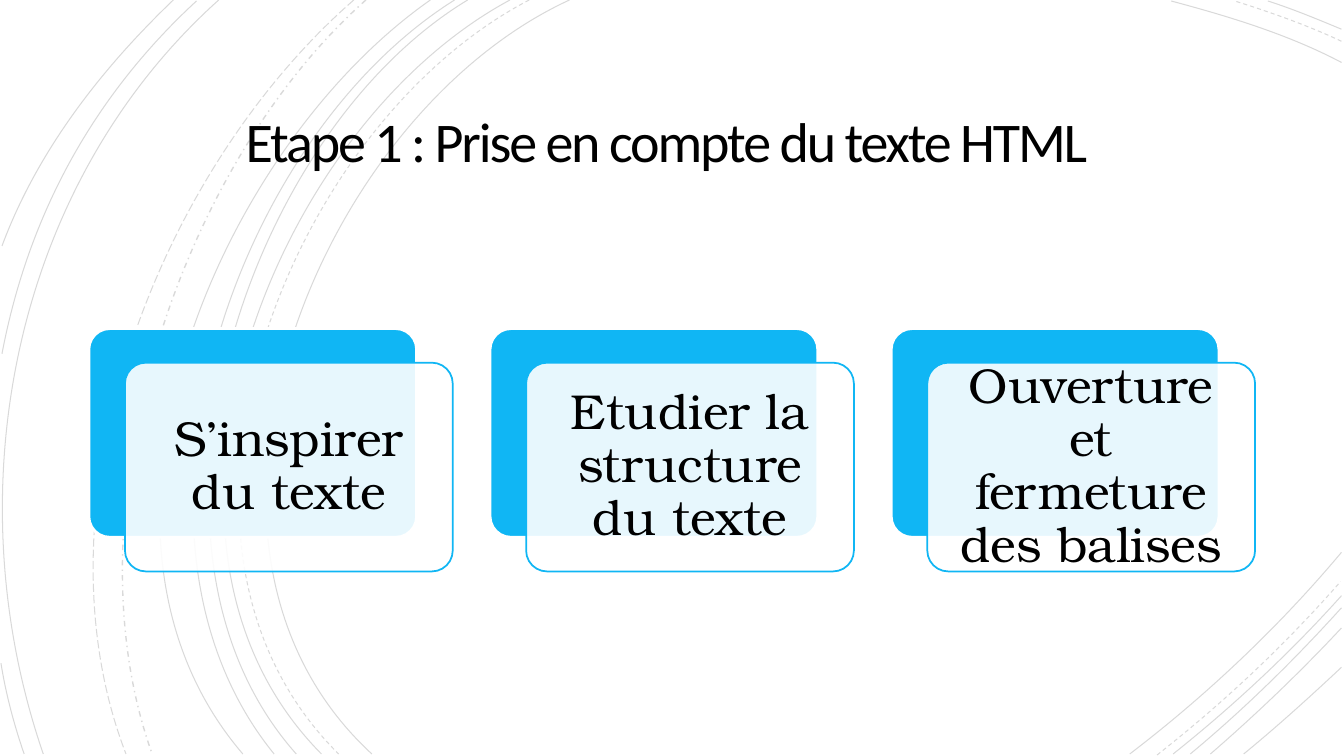
from lxml import etree
from pptx import Presentation
from pptx.dml.color import RGBColor
from pptx.enum import dml, shapes, text
from pptx.oxml import ns
from pptx.util import Cm, Pt

BLACK = RGBColor(0x00, 0x00, 0x00)
WHITE = RGBColor(0xFF, 0xFF, 0xFF)
BLUE = RGBColor(0x10, 0xB6, 0xF4)

INCH = Cm(2.54)
SOLID = dml.MSO_LINE.SOLID
DASH = dml.MSO_LINE.DASH
DASH_DOT = dml.MSO_LINE.DASH_DOT
LONG_DASH = dml.MSO_LINE.LONG_DASH

# Cubic curves: start, two control points and end, as x, y pairs in inches
ARCS = [
    (SOLID, 5.65, 0, 3.15, 1.15, 1.43, 5.4, 3.69, 7.48),
    (DASH, 5.25, 0, 2.85, 1.25, 1.23, 5.37, 3.36, 7.48),
    (SOLID, 5.06, 0, 2.7, 1.27, 1.1, 5.37, 3.19, 7.48),
    (SOLID, 4.64, 0, 2.44, 1.33, 1.1, 5.41, 2.94, 7.48),
    (SOLID, 4.51, 0, 2.31, 1.38, 0.97, 5.33, 2.72, 7.48),
    (SOLID, 4.27, 0, 2.17, 1.47, 0.53, 5.29, 2.41, 7.48),
    (DASH_DOT, 3.63, 0, 1.76, 1.66, 0.65, 5.09, 1.51, 7.48),
    (LONG_DASH, 3.51, 0, 1.57, 1.69, 0.29, 4.99, 1.25, 7.48),
    (SOLID, 2.17, 0, 0.11, 1.85, -0.46, 4.9, 0.43, 7.48),
    (SOLID, 1.95, 0.01, 0.92, 0.96, 0.28, 2.14, 0.02, 3.51),
    (SOLID, 1.72, 0, 1, 0.69, 0.37, 1.5, 0.02, 2.44),
    (SOLID, 0.01, 6.58, 0.06, 6.89, 0.14, 7.19, 0.24, 7.48),
    (SOLID, 13.31, 0.62, 12.78, 0.34, 12.18, 0.16, 11.62, 0.01),
    (DASH, 13.31, 0.41, 12.97, 0.25, 12.6, 0.12, 12.25, 0.01),
    (SOLID, 13.31, 0.29, 13.07, 0.19, 12.83, 0.09, 12.58, 0.01),
    (SOLID, 11.21, 7.48, 11.97, 6.9, 12.69, 6.22, 13.31, 5.48),
    (DASH, 11.48, 7.49, 12.13, 6.98, 12.75, 6.4, 13.3, 5.77),
    (SOLID, 11.64, 7.48, 12.23, 7.01, 12.8, 6.48, 13.31, 5.91),
    (SOLID, 11.81, 7.48, 12.34, 7.04, 12.84, 6.55, 13.31, 6.03),
    (SOLID, 12.01, 7.48, 12.46, 7.09, 12.9, 6.67, 13.31, 6.23),
    (SOLID, 12.34, 7.48, 12.67, 7.21, 12.99, 6.92, 13.31, 6.62),
]

STEPS = [
    "S’inspirer du texte",
    "Etudier la structure du texte",
    "Ouverture et fermeture des balises",
]


def set_opacity(fill_parent, percent):
    """Make the solid colour directly under the given element partly transparent."""
    colour = fill_parent.find(ns.qn("a:solidFill"))[0]
    etree.SubElement(colour, ns.qn("a:alpha")).set("val", str(percent * 1000))


def add_card(left, top, fill, line, line_width):
    card = slide.shapes.add_shape(
        shapes.MSO_SHAPE.ROUNDED_RECTANGLE, left, top, Cm(8.26), Cm(5.26))
    card.adjustments[0] = 0.1
    card.shadow.inherit = False
    card.fill.solid()
    card.fill.fore_color.rgb = fill
    card.line.color.rgb = line
    card.line.width = Pt(line_width)
    return card


prs = Presentation()
prs.slide_width = Cm(33.87)
prs.slide_height = Cm(19.05)
slide = prs.slides.add_slide(prs.slide_layouts[6])
slide.background.fill.solid()
slide.background.fill.fore_color.rgb = WHITE

# Background arcs
for dash, *coords in ARCS:
    lengths = [round(c * INCH) for c in coords]
    start, *controls = zip(lengths[::2], lengths[1::2])
    outline = slide.shapes.build_freeform(*start)
    outline.add_line_segments(controls, close=False)
    arc = outline.convert_to_shape()
    # The three straight segments become the points of one cubic curve
    segments = list(arc.element.iter(ns.qn("a:lnTo")))
    curve = etree.SubElement(segments[0].getparent(), ns.qn("a:cubicBezTo"))
    for segment in segments:
        curve.append(segment[0])
        segment.getparent().remove(segment)
    arc.shadow.inherit = False
    arc.fill.background()
    arc.line.color.rgb = BLACK
    arc.line.width = Pt(1 if dash == DASH_DOT else 0.75)
    arc.line.dash_style = dash
    set_opacity(arc.element.spPr.find(ns.qn("a:ln")), 15)

# Title
title = slide.shapes.add_textbox(Cm(4.88), Cm(2.21), Cm(24.1), Cm(2.92)).text_frame
title.word_wrap = True
title.vertical_anchor = text.MSO_ANCHOR.MIDDLE
title.margin_left = title.margin_right = Cm(0.64)
title.margin_top = title.margin_bottom = Cm(0.64)
heading = title.paragraphs[0]
heading.alignment = text.PP_ALIGN.CENTER
heading.line_spacing = 0.85
heading_run = heading.add_run()
heading_run.text = "Etape 1 : Prise en compte du texte HTML "
heading.font.name = "Calibri"
heading.font.size = Pt(40)
heading.font.color.rgb = BLACK
heading_run.font._element.set("spc", "-150")

# Step cards
for index, step_text in enumerate(STEPS):
    left = Cm(2.24) + index * Cm(10.11)
    add_card(left, Cm(8.28), BLUE, WHITE, 2)
    front = add_card(left + Cm(0.91), Cm(9.14), WHITE, BLUE, 1.25)
    set_opacity(front.element.spPr, 90)
    frame = front.text_frame
    frame.word_wrap = True
    frame.vertical_anchor = text.MSO_ANCHOR.MIDDLE
    frame.margin_left = frame.margin_right = Cm(0.38)
    frame.margin_top = frame.margin_bottom = Cm(0.38)
    label = frame.paragraphs[0]
    label.text = step_text
    label.alignment = text.PP_ALIGN.CENTER
    label.line_spacing = 0.9
    label.font.name = "TeX Gyre Bonum"
    label.font.size = Pt(35)
    label.font.color.rgb = BLACK

prs.save("out.pptx")
